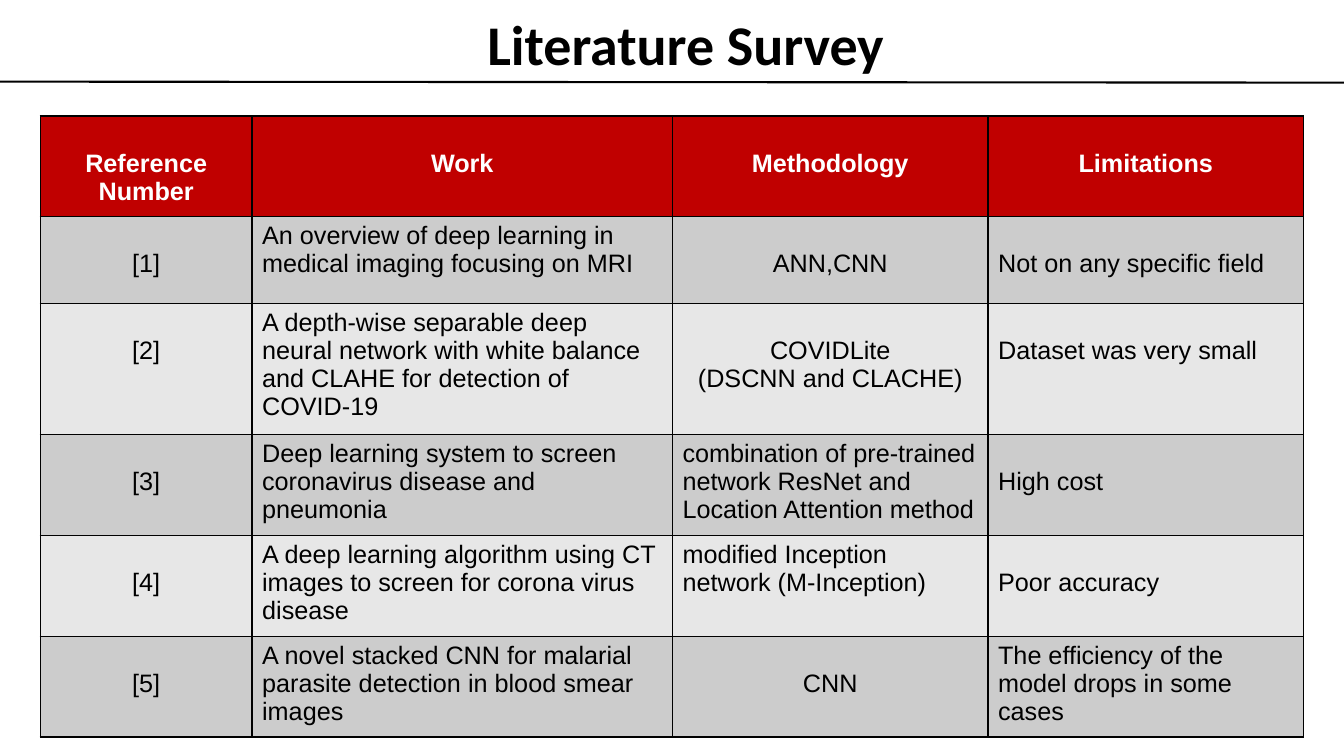
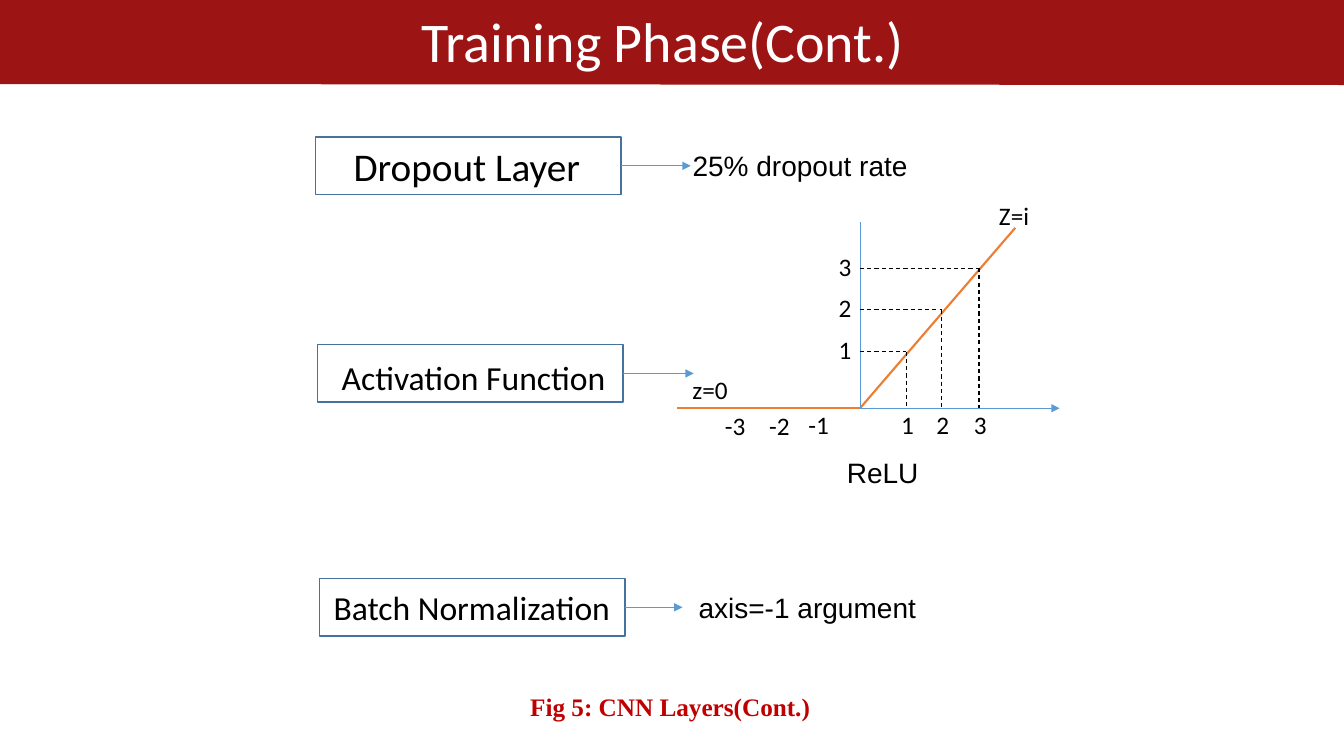
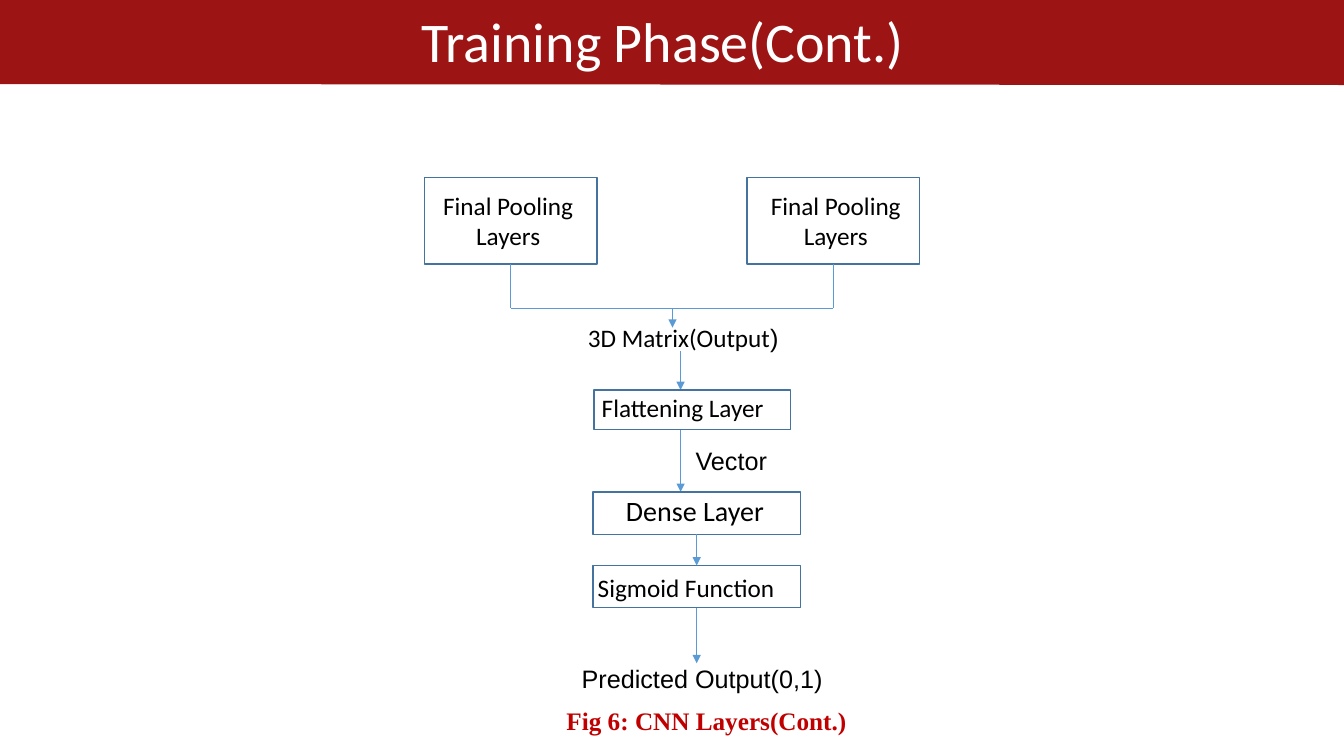
from lxml import etree
from pptx import Presentation
from pptx.dml.color import RGBColor
from pptx.enum.dml import MSO_LINE
from pptx.enum.shapes import MSO_CONNECTOR, MSO_SHAPE
from pptx.enum.text import MSO_AUTO_SIZE, PP_ALIGN
from pptx.oxml.ns import qn
from pptx.util import Inches, Pt

STRAIGHT = MSO_CONNECTOR.STRAIGHT
RECTANGLE = MSO_SHAPE.RECTANGLE
DASH = MSO_LINE.DASH
FIT_SHAPE = MSO_AUTO_SIZE.SHAPE_TO_FIT_TEXT
LEFT, CENTER = PP_ALIGN.LEFT, PP_ALIGN.CENTER
TOP, RIGHT, BOTTOM = 0, 3, 2

WIDTH, HEIGHT = 13.33, 7.5
BLACK, WHITE = "000000", "FFFFFF"
RED, BAND_RED = "C00000", "9C1414"
BOX_BLUE, ARROW_BLUE, ORANGE = "43739E", "5B9BD5", "ED7D31"
ROW_GRAYS = ("CCCCCC", "E7E7E7")
CALIBRI, ARIAL, TIMES = "Calibri", "Arial", "Times New Roman"


def rgb(value):
    return RGBColor.from_string(value)


class Deck:
    """Holds the shared style and the slide being drawn."""

    def __init__(self):
        self.presentation = Presentation()
        self.presentation.slide_width = Inches(WIDTH)
        self.presentation.slide_height = Inches(HEIGHT)
        self.slide = None

    def new_slide(self):
        layout = self.presentation.slide_layouts[6]
        self.slide = self.presentation.slides.add_slide(layout)

    def style(self, paragraph, size, font, color, bold=False, align=LEFT):
        paragraph.alignment = align
        paragraph.font.size = Pt(size)
        paragraph.font.name = font
        paragraph.font.bold = bold
        paragraph.font.color.rgb = rgb(color)

    def text(self, left, top, width, words, size=18, font=CALIBRI, color=BLACK,
             bold=False, align=LEFT, wrap=False):
        lines = words.split("\n")
        height = len(lines) * size / 60 + 0.1
        shape = self.slide.shapes.add_textbox(
            Inches(left), Inches(top), Inches(width), Inches(height))
        frame = shape.text_frame
        frame.text = words
        frame.word_wrap = wrap
        frame.auto_size = FIT_SHAPE
        for paragraph in frame.paragraphs:
            self.style(paragraph, size, font, color, bold, align)
        return frame

    def box(self, left, top, width, height):
        shape = self.slide.shapes.add_shape(
            RECTANGLE, Inches(left), Inches(top), Inches(width), Inches(height))
        shape.shadow.inherit = False
        shape.fill.background()
        shape.line.color.rgb = rgb(BOX_BLUE)
        shape.line.width = Pt(1)
        return shape

    def line(self, start, end, color=ARROW_BLUE, width=0.5, dash=None,
             arrow=False, begin_at=None, end_at=None):
        """Draw a line; begin_at and end_at are (box, side) pairs to join."""
        connector = self.slide.shapes.add_connector(
            STRAIGHT, *(Inches(length) for length in (*start, *end)))
        if begin_at:
            connector.begin_connect(*begin_at)
        if end_at:
            connector.end_connect(*end_at)
        connector.line.color.rgb = rgb(color)
        connector.line.width = Pt(width)
        if dash:
            connector.line.dash_style = dash
        if arrow:
            outline = connector.line._get_or_add_ln()
            etree.SubElement(outline, qn("a:tailEnd"), type="triangle")
        etree.SubElement(connector._element.spPr, qn("a:effectLst"))

    def arrow(self, start, end, **joins):
        self.line(start, end, arrow=True, **joins)

    def band_title(self, words):
        self.line((0, 0.41), (WIDTH, 0.42), BAND_RED, 61)
        self.text(4.06, 0.02, 5.03, words, 40, color=WHITE, align=CENTER)

    def caption(self, left, top, words):
        self.text(left, top, 3.01, words, font=TIMES, color=RED, bold=True)

    def cell(self, cell, words, fill, color, bold, align, skipped_lines):
        cell.text = words
        cell.margin_top = Inches(0.05 + 0.28 * skipped_lines)
        cell.fill.solid()
        cell.fill.fore_color.rgb = rgb(fill)
        for paragraph in cell.text_frame.paragraphs:
            self.style(paragraph, 18, ARIAL, color, bold, align)
        properties = cell._tc.get_or_add_tcPr()
        for index, side in enumerate(("lnL", "lnR", "lnT", "lnB")):
            border = etree.Element(qn("a:" + side), w=str(Pt(1)))
            solid = etree.SubElement(border, qn("a:solidFill"))
            etree.SubElement(solid, qn("a:srgbClr"), val=BLACK)
            properties.insert(index, border)

    def table(self, left, top, widths, heights, header, rows):
        """Each body cell is (words, alignment, lines skipped above)."""
        table = self.slide.shapes.add_table(
            len(heights), len(widths), Inches(left), Inches(top),
            Inches(sum(widths)), Inches(sum(heights))).table
        table.first_row = table.horz_banding = False
        for column, width in zip(table.columns, widths):
            column.width = Inches(width)
        for row, height in zip(table.rows, heights):
            row.height = Inches(height)
        for column, words in enumerate(header):
            self.cell(table.cell(0, column), words, RED, WHITE, True, CENTER, 1)
        for number, row in enumerate(rows):
            fill = ROW_GRAYS[number % 2]
            for column, (words, align, skipped) in enumerate(row):
                self.cell(table.cell(number + 1, column), words, fill, BLACK,
                          False, align, skipped)


def literature_survey(deck):
    deck.new_slide()
    deck.text(4.71, 0.04, 4.18, "Literature Survey", 40, bold=True, align=CENTER)
    deck.line((0, 0.81), (WIDTH, 0.82), BLACK, 1.5)

    works = [
        ("An overview of deep learning in medical imaging focusing on MRI",
         ("ANN,CNN", CENTER, 1), ("Not on any specific field", LEFT, 1)),
        ("A depth-wise separable deep neural network with white balance and "
         "CLAHE for detection of COVID-19",
         ("COVIDLite\n(DSCNN and CLACHE)", CENTER, 1),
         ("Dataset was very small", LEFT, 1)),
        ("Deep learning system to screen coronavirus disease and pneumonia",
         ("combination of pre-trained network ResNet and Location Attention "
          "method", LEFT, 0), ("High cost", LEFT, 1)),
        ("A deep learning algorithm using CT images to screen for corona virus "
         "disease",
         ("modified Inception network (M-Inception)", LEFT, 0),
         ("Poor accuracy", LEFT, 1)),
        ("A novel stacked CNN for malarial parasite detection in blood smear "
         "images",
         ("CNN", CENTER, 1),
         ("The efficiency of the model drops in some cases", LEFT, 0)),
    ]
    rows = [((f"[{number}]", CENTER, 1), (work, LEFT, 0), method, limitation)
            for number, (work, method, limitation) in enumerate(works, 1)]
    deck.table(0.4, 1.15, (2.1, 4.17, 3.13, 3.13), (1, 0.86, 1.3, 1, 1, 1),
               ("Reference Number", "Work", "Methodology", "Limitations"), rows)


def layer_settings(deck):
    deck.new_slide()
    deck.band_title("Training Phase(Cont.)")

    # Layer boxes, each with an arrow to its setting
    layers = [
        (3.13, 1.36, 6.85, "Dropout Layer", 3.41, 1.36, 2.47, 28),
        (3.15, 3.42, 6.88, "Activation Function", 3.29, 3.49, 2.85, 24),
        (3.17, 5.74, 6.77, "Batch Normalization", 3.21, 5.77, 2.97, 24),
    ]
    for left, top, tip, words, text_left, text_top, text_width, size in layers:
        layer = deck.box(left, top, 3.03, 0.57)
        deck.text(text_left, text_top, text_width, words, size)
        middle = top + 0.285
        deck.arrow((left + 3.03, middle), (tip, middle), begin_at=(layer, RIGHT))
    for left, top, width, words in [(6.77, 1.42, 2.35, "25% dropout rate"),
                                    (8.3, 4.47, 0.92, "ReLU"),
                                    (6.83, 5.81, 2.47, "axis=-1 argument")]:
        deck.text(left, top, width, words, 20, ARIAL)

    # ReLU graph: axes and curve
    origin_x, origin_y = origin = (8.53, 4.05)
    deck.line((6.71, origin_y), origin, ORANGE, 1.5)
    deck.line(origin, (10.07, 2.26), ORANGE, 1.5)
    deck.arrow(origin, (10.51, origin_y))
    deck.line(origin, (origin_x, 2.2))

    # Guides and tick labels
    guide_points = [(8.99, 3.49), (9.34, 3.07), (9.71, 2.66)]
    for number, (x, y) in enumerate(guide_points, 1):
        deck.line((origin_x, y), (x, y), BLACK, 0.75, DASH)
        deck.line((x, y), (x, origin_y), BLACK, 0.75, DASH)
        deck.text(8.22, y - 0.22, 0.33, str(number))
        deck.text(x - 0.15, 4.01, 0.33, str(number))
    for left, top, width, words in [(7.92, 4.01, 0.41, "-1"),
                                    (7.53, 4.02, 0.41, "-2"),
                                    (7.09, 4.02, 0.41, "-3"),
                                    (6.77, 3.66, 0.56, "z=0"),
                                    (9.81, 1.94, 0.5, "Z=i")]:
        deck.text(left, top, width, words)

    deck.caption(5.16, 6.81, "Fig 5: CNN Layers(Cont.)")


def output_flow(deck):
    deck.new_slide()
    deck.band_title("Training Phase(Cont.)")

    # Two pooling boxes joined by a bar
    bar_y = 3.06
    for left, text_left in ((4.21, 4.29), (7.41, 7.54)):
        pooling = deck.box(left, 1.76, 1.71, 0.86)
        deck.text(text_left, 1.84, 1.5, "Final Pooling\nLayers", align=CENTER)
        middle = left + 0.855
        deck.line((middle, 2.62), (middle, bar_y), begin_at=(pooling, BOTTOM))
    deck.line((5.07, bar_y), (8.26, bar_y))
    deck.arrow((6.67, bar_y), (6.67, 3.25))

    # Matrix to dense layer
    matrix = deck.text(5.72, 3.15, 2.11, "3D Matrix(Output", align=CENTER)
    bracket = matrix.paragraphs[0].add_run()
    bracket.text = ")"
    bracket.font.name = ARIAL
    deck.arrow((6.75, 3.48), (6.75, 3.87))
    deck.box(5.89, 3.87, 1.95, 0.39)
    deck.text(5.87, 3.84, 1.83, "Flattening Layer")
    deck.arrow((6.75, 4.27), (6.75, 4.88))
    deck.text(6.8, 4.37, 0.92, "Vector", font=ARIAL)
    dense = deck.box(5.88, 4.88, 2.06, 0.42)
    deck.text(6.11, 4.85, 1.58, "Dense Layer", 20)

    # Sigmoid to prediction
    sigmoid = deck.box(5.88, 5.61, 2.06, 0.42)
    deck.text(5.83, 5.63, 2.15, "Sigmoid Function", wrap=True)
    deck.arrow((6.91, 5.3), (6.91, 5.61),
               begin_at=(dense, BOTTOM), end_at=(sigmoid, TOP))
    deck.arrow((6.91, 6.03), (6.91, 6.58), begin_at=(sigmoid, BOTTOM))
    deck.text(5.67, 6.53, 2.61, "Predicted Output(0,1)", font=ARIAL)

    deck.caption(5.52, 6.95, "Fig 6: CNN Layers(Cont.)")


def main():
    deck = Deck()
    literature_survey(deck)
    layer_settings(deck)
    output_flow(deck)
    deck.presentation.save("out.pptx")


if __name__ == "__main__":
    main()
